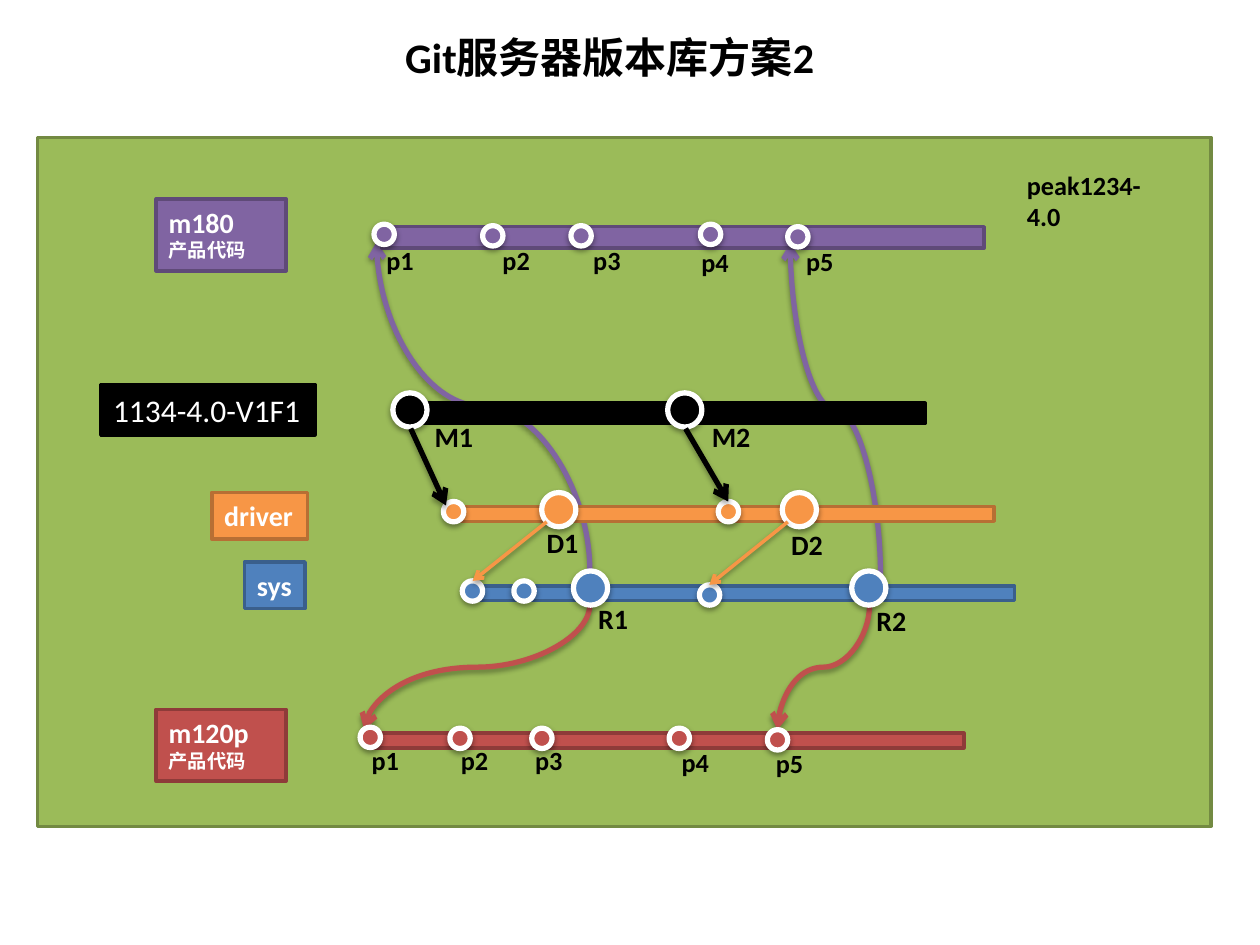
from lxml.etree import SubElement
from pptx import Presentation
from pptx.dml.color import RGBColor
from pptx.enum.shapes import MSO_CONNECTOR, MSO_SHAPE
from pptx.enum.text import MSO_ANCHOR, MSO_AUTO_SIZE, PP_ALIGN
from pptx.oxml.ns import qn
from pptx.util import Cm, Pt

HUES = {
    "white": "FFFFFF", "black": "000000",
    "green": "9BBB59", "moss": "738A42",
    "violet": "8064A2", "plum": "5F4A78",
    "orange": "F79646", "rust": "B76F34",
    "blue": "4F81BD", "navy": "3A5F8C",
    "red": "C0504D", "wine": "8E3B39",
}

deck = Presentation()
deck.slide_width, deck.slide_height = Cm(25.4), Cm(19.05)
slide = deck.slides.add_slide(deck.slide_layouts[6])
shapes = slide.shapes


def write(text, at, shape=None, size=16, hue="black", bold=True, wrap=False):
    shape = shape or shapes.add_textbox(*map(Cm, at))
    frame = shape.text_frame
    frame.word_wrap = wrap
    frame.auto_size = MSO_AUTO_SIZE.SHAPE_TO_FIT_TEXT
    frame.vertical_anchor = MSO_ANCHOR.TOP
    for row, line in enumerate(text.split("\n")):
        para = frame.add_paragraph() if row else frame.paragraphs[0]
        para.alignment = PP_ALIGN.LEFT
        run = para.add_run()
        run.text = line
        run.font.name = "Calibri"
        run.font.size = Pt(11 if row else size)
        run.font.bold = bold
        run.font.color.rgb = RGBColor.from_string(HUES[hue])


def finish(item, hue, width, alpha=0, drop=0):
    item.line.color.rgb = RGBColor.from_string(HUES[hue])
    item.line.width = Pt(width)
    effects = SubElement(item._element.spPr, qn("a:effectLst"))
    if alpha:
        shade = SubElement(effects, qn("a:outerShdw"), blurRad=str(Pt(3.1)),
                           dist=str(Pt(drop)), dir="5400000", rotWithShape="0")
        tone = SubElement(shade, qn("a:srgbClr"), val=HUES["black"])
        SubElement(tone, qn("a:alpha"), val=str(alpha * 1000))


panel = shapes.add_shape(MSO_SHAPE.RECTANGLE, Cm(0.76), Cm(2.77), Cm(23.65), Cm(13.89))
panel.fill.solid()
panel.fill.fore_color.rgb = RGBColor.from_string(HUES["green"])
finish(panel, "moss", 2)
write("peak1234-4.0", (20.45, 3.28, 3.33, 0.89), size=15)
write("Git服务器版本库方案2", (7.92, 0.51, 8.86, 1.27), size=24, wrap=True)

curves = [
    ("violet", 11.89, 11.51, 7.59, 4.88),
    ("violet", 17.75, 11.61, 15.93, 4.9),
    ("red", 11.89, 12.19, 7.34, 14.71),
    ("red", 17.53, 12.19, 15.67, 14.71),
]
for hue, x1, y1, x2, y2 in curves:
    midx, midy = (x1 + x2) / 2, (y1 + y2) / 2
    wide, high = abs(y2 - y1) / 2, (x1 - x2) / 2
    rise = y2 < y1
    if rise:
        high = -high
    curve = shapes.add_connector(MSO_CONNECTOR.CURVE, Cm(midx - wide), Cm(midy - high),
                                 Cm(midx + wide), Cm(midy + high))
    curve._element.spPr.find(qn("a:xfrm")).set("rot", "16200000" if rise else "5400000")
    finish(curve, hue, 3, 35, 1.8)
    SubElement(curve.line._get_or_add_ln(), qn("a:tailEnd"), type="arrow")

SMALL, BIG = 0.41, 0.69
lanes = [
    ("black", "black", (8.13, 8.13, 10.52, 0.41),
     "1134-4.0-V1F1", (2.03, 7.75, 4.32, 1.02),
     [(BIG, 7.92, 7.92), (BIG, 13.46, 7.92)],
     "M", 1.3, [(8.51, 8.33), (14.1, 8.33)]),
    ("orange", "rust", (9.12, 10.21, 10.92, 0.3),
     "driver", (4.27, 9.93, 1.93, 0.94),
     [(BIG, 10.92, 9.93), (BIG, 15.77, 9.93), (SMALL, 8.94, 10.11), (SMALL, 14.48, 10.11)],
     "D", 1.17, [(10.77, 10.46), (15.7, 10.52)]),
    ("red", "wine", (7.47, 14.78, 11.96, 0.3),
     "m120p\n产品代码", (3.15, 14.3, 2.62, 1.45),
     [(SMALL, 7.26, 14.66), (SMALL, 9.07, 14.68), (SMALL, 10.72, 14.68),
      (SMALL, 13.49, 14.68), (SMALL, 15.47, 14.71)],
     "p", 1.07, [(7.24, 14.88), (9.04, 14.88), (10.54, 14.88), (13.49, 14.91), (15.39, 14.94)]),
    ("violet", "plum", (7.7, 4.57, 12.14, 0.43),
     "m180\n产品代码", (3.15, 4.01, 2.62, 1.45),
     [(SMALL, 7.54, 4.52), (SMALL, 9.73, 4.55), (SMALL, 11.51, 4.55),
      (SMALL, 14.12, 4.52), (SMALL, 15.88, 4.57)],
     "p", 1.07, [(7.54, 4.8), (9.88, 4.8), (11.71, 4.8), (13.89, 4.85), (16, 4.83)]),
    ("blue", "navy", (9.53, 11.81, 10.92, 0.3),
     "sys", (4.93, 11.33, 1.22, 0.94),
     [(BIG, 11.56, 11.51), (BIG, 17.17, 11.51), (SMALL, 9.32, 11.71),
      (SMALL, 10.36, 11.71), (SMALL, 14.1, 11.79)],
     "R", 1.12, [(11.81, 12.01), (17.42, 12.04)]),
]
for hue, edge, bar, name, tag, dots, mark, wide, spots in lanes:
    parts = [(MSO_SHAPE.RECTANGLE, box, edge, 2, 0) for box in (bar, tag)]
    parts += [(MSO_SHAPE.OVAL, (x, y, size, size), "white", 3, 38) for size, x, y in dots]
    for kind, box, rim, width, alpha in parts:
        part = shapes.add_shape(kind, *map(Cm, box))
        part.fill.solid()
        part.fill.fore_color.rgb = RGBColor.from_string(HUES[hue])
        finish(part, rim, width, alpha, 1.6)
        if box == tag:
            plain = hue == "black"
            write(name, tag, part, size=18 if plain else 16, hue="white",
                  bold=not plain, wrap="\n" in name)
    for count, (x, y) in enumerate(spots, 1):
        write(f"{mark}{count}", (x, y, wide, 0.9), size=15 if mark == "p" else 16)

arrows = [
    ("orange", 2, 38, 1.6, (11.02, 10.52, 9.53, 11.71)),
    ("orange", 2, 38, 1.6, (15.88, 10.52, 14.3, 11.79)),
    ("black", 3, 35, 1.8, (8.28, 8.64, 8.99, 10.19)),
    ("black", 3, 35, 1.8, (13.82, 8.64, 14.68, 10.11)),
]
for hue, width, alpha, drop, ends in arrows:
    arrow = shapes.add_connector(MSO_CONNECTOR.STRAIGHT, *map(Cm, ends))
    finish(arrow, hue, width, alpha, drop)
    SubElement(arrow.line._get_or_add_ln(), qn("a:tailEnd"), type="arrow")

deck.save("out.pptx")
